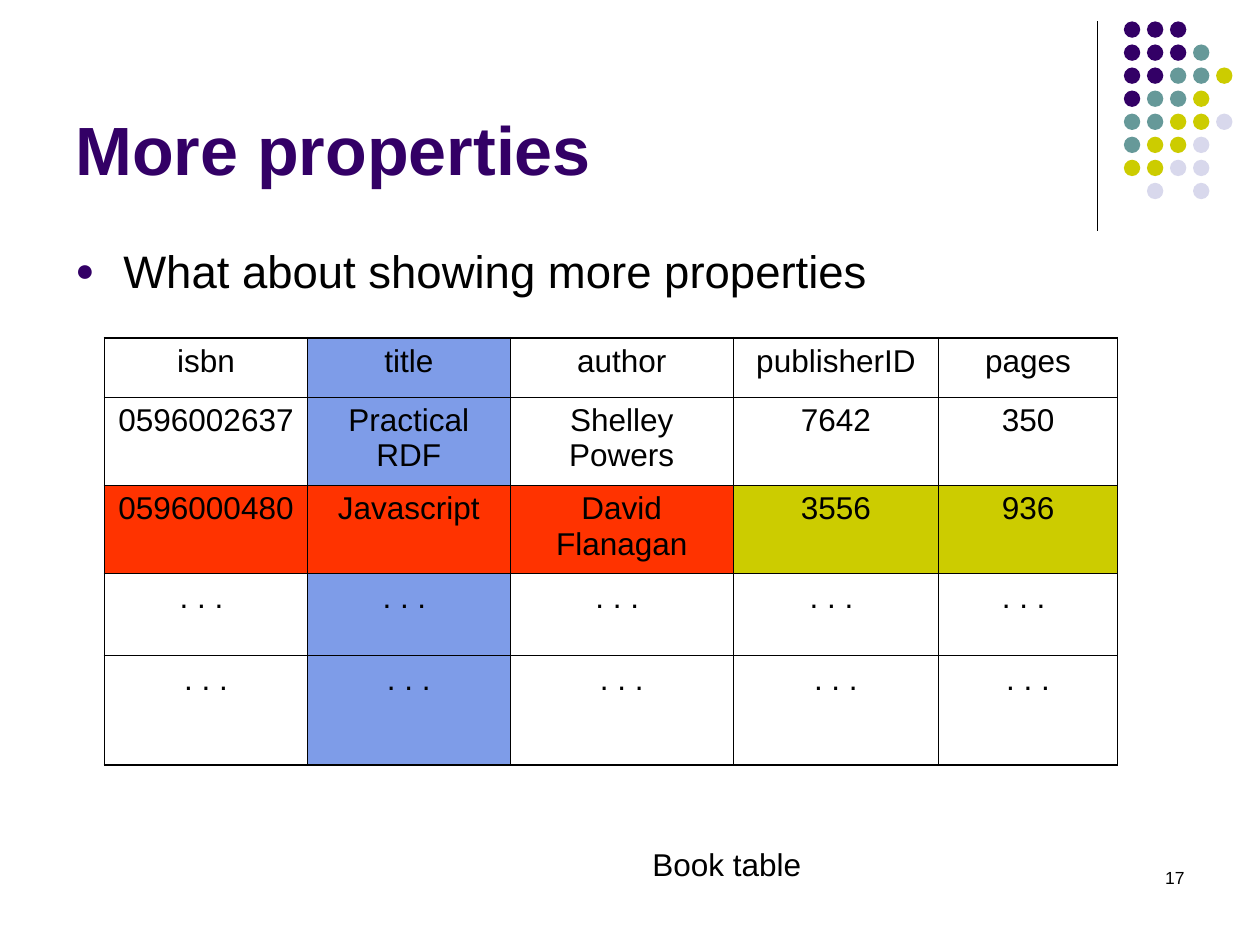
"""Build the "More properties" slide with its book table."""
from pptx import Presentation
from pptx.dml.color import RGBColor
from pptx.enum.shapes import MSO_CONNECTOR, MSO_SHAPE
from pptx.enum.text import MSO_ANCHOR, PP_ALIGN
from pptx.oxml.ns import qn
from pptx.util import Inches, Pt
from lxml.etree import SubElement

COLORS = {"ink": "000000", "purple": "330066", "teal": "669999", "olive": "CCCC00",
          "lavender": "D8D8EC", "blue": "7E9CE8", "red": "FF3300"}
DOT_COLORS = {"P": "purple", "T": "teal", "O": "olive", "L": "lavender"}
DOT_ROWS = ["PPP", "PPPT", "PPTTO", "PTTO", "TTOOL", "TOOL", "OOLL", " L L"]
BOOKS = [
    ["isbn", "title", "author", "publisherID", "pages"],
    ["0596002637", "Practical RDF", "Shelley Powers", "7642", "350"],
    ["0596000480", "Javascript", "David Flanagan", "3556", "936"],
    [". . . "] * 5,
    [". . ."] * 5,
]
TITLE_COLUMN, SELECTED_ROW = 1, 2
SELECTED_FILLS = ["red", "red", "red", "olive", "olive"]


def color(name):
    return RGBColor.from_string(COLORS[name])


def write(frame, text, size=18, ink="ink", bold=False, align=PP_ALIGN.LEFT,
          anchor=MSO_ANCHOR.TOP, bullet=None):
    frame.word_wrap = True
    frame.vertical_anchor = anchor
    paragraph = frame.paragraphs[0]
    paragraph.alignment = align
    if bullet:
        properties = paragraph._p.get_or_add_pPr()
        properties.set("marL", str(Inches(0.38)))
        properties.set("indent", str(Inches(-0.38)))
        bullet_color = SubElement(properties, qn("a:buClr"))
        SubElement(bullet_color, qn("a:srgbClr"), val=COLORS[bullet])
        SubElement(properties, qn("a:buSzPct"), val="70000")
        SubElement(properties, qn("a:buFont"), typeface="Arial")
        SubElement(properties, qn("a:buChar"), char="●")
    run = paragraph.add_run()
    run.text = text
    run.font.name = "Arial"
    run.font.size = Pt(size)
    run.font.bold = bold
    run.font.color.rgb = color(ink)


class SlideBuilder:
    """Places elements on one slide by columns and rows of a 100 by 75 grid."""

    def __init__(self, presentation):
        self.slide = presentation.slides.add_slide(presentation.slide_layouts[6])
        self.column = presentation.slide_width / 100
        self.row = presentation.slide_height / 75

    def box(self, left, top, width, height):
        return (round(left * self.column), round(top * self.row),
                round(width * self.column), round(height * self.row))

    def text(self, text, *place, **style):
        shape = self.slide.shapes.add_textbox(*self.box(*place))
        write(shape.text_frame, text, **style)

    def line(self, *ends):
        connector = self.slide.shapes.add_connector(MSO_CONNECTOR.STRAIGHT, *self.box(*ends))
        connector.line.color.rgb = color("ink")
        connector.line.width = Pt(0.75)
        SubElement(connector._element.spPr, qn("a:effectLst"))

    def dot(self, left, top, size, fill):
        shape = self.slide.shapes.add_shape(MSO_SHAPE.OVAL, *self.box(left, top, size, size))
        shape.shadow.inherit = False
        shape.fill.solid()
        shape.fill.fore_color.rgb = color(fill)
        shape.line.fill.background()

    def dots(self, left, top, pitch, size):
        for row, pattern in enumerate(DOT_ROWS):
            for column, key in enumerate(pattern):
                if key in DOT_COLORS:
                    self.dot(left + column * pitch, top + row * pitch, size, DOT_COLORS[key])

    def border(self, cell, side, width):
        line = SubElement(cell._tc.get_or_add_tcPr(), qn(f"a:ln{side}"), w=str(Pt(width)))
        fill = SubElement(line, qn("a:solidFill"))
        SubElement(fill, qn("a:srgbClr"), val=COLORS["ink"])

    def table(self, left, top, widths, heights, values, fill_rule):
        place = self.box(left, top, sum(widths), sum(heights))
        table = self.slide.shapes.add_table(len(heights), len(widths), *place).table
        table.first_row = table.horz_banding = False
        for column, width in zip(table.columns, widths):
            column.width = round(width * self.column)
        for row, height in zip(table.rows, heights):
            row.height = round(height * self.row)
        for r, texts in enumerate(values):
            for c, text in enumerate(texts):
                cell = table.cell(r, c)
                write(cell.text_frame, text, align=PP_ALIGN.CENTER)
                outer = {"L": c == 0, "R": c == len(widths) - 1,
                         "T": r == 0, "B": r == len(heights) - 1}
                for side, is_outer in outer.items():
                    self.border(cell, side, 1.08 if is_outer else 0.45)
                fill = fill_rule(r, c)
                if fill:
                    cell.fill.solid()
                    cell.fill.fore_color.rgb = color(fill)
                else:
                    cell.fill.background()


def book_fill(row, column):
    if row == SELECTED_ROW:
        return SELECTED_FILLS[column]
    return "blue" if column == TITLE_COLUMN else None


def main():
    presentation = Presentation()
    presentation.slide_width, presentation.slide_height = Inches(10), Inches(7.5)
    builder = SlideBuilder(presentation)
    builder.line(87.1, 1.7, 87.1, 18.3)
    builder.dots(89.2, 1.7, pitch=1.83, size=1.3)
    builder.text("17", 71.7, 68.3, 23.3, 5, size=10, align=PP_ALIGN.RIGHT)
    builder.text("More properties", 5, 1.3, 82.5, 14.2, size=39, ink="purple",
                 bold=True, anchor=MSO_ANCHOR.BOTTOM)
    builder.text("What about showing more properties", 5, 18.8, 85.2, 48.2,
                 size=26, bullet="purple")
    builder.table(8.3, 26.8, [16.1, 16.1, 17.7, 16.3, 14.2], [4.7, 7, 7, 6.5, 8.7],
                  BOOKS, book_fill)
    builder.text("Book table", 50.8, 66.6, 15, 4)
    presentation.save("out.pptx")


if __name__ == "__main__":
    main()
